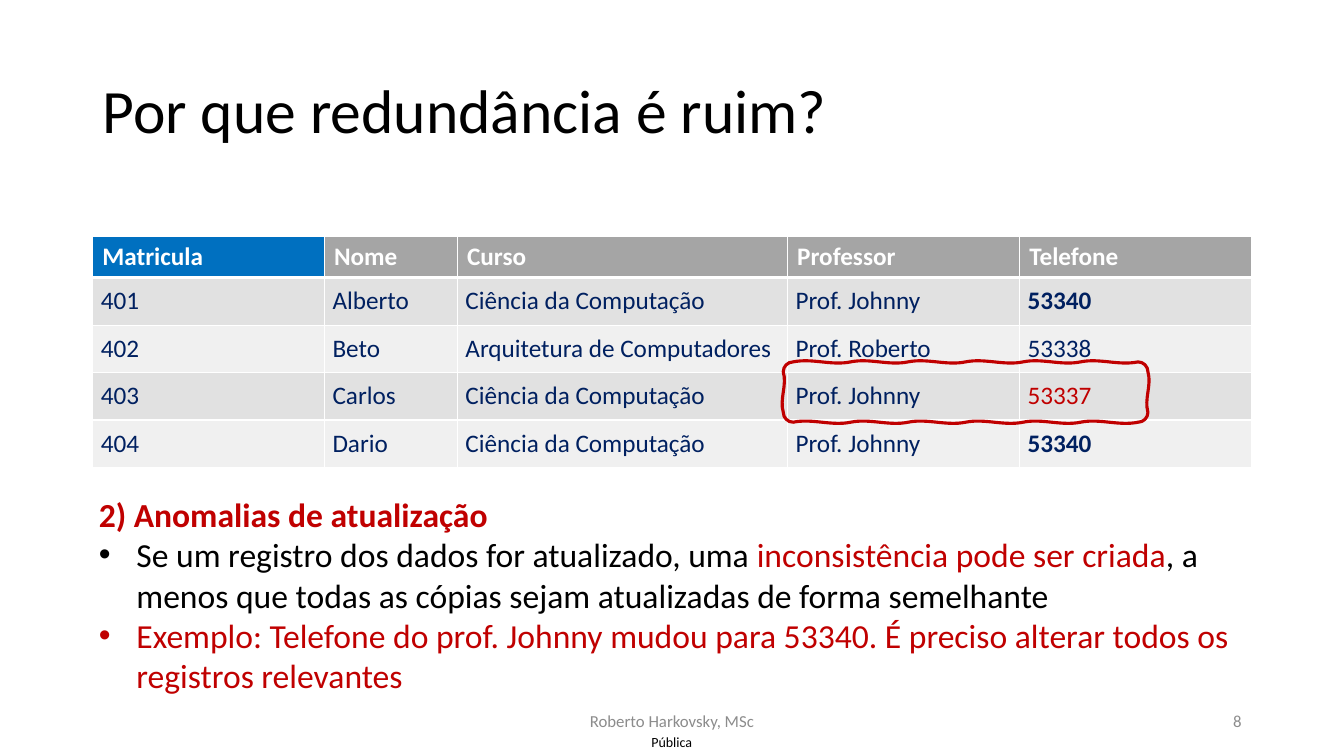
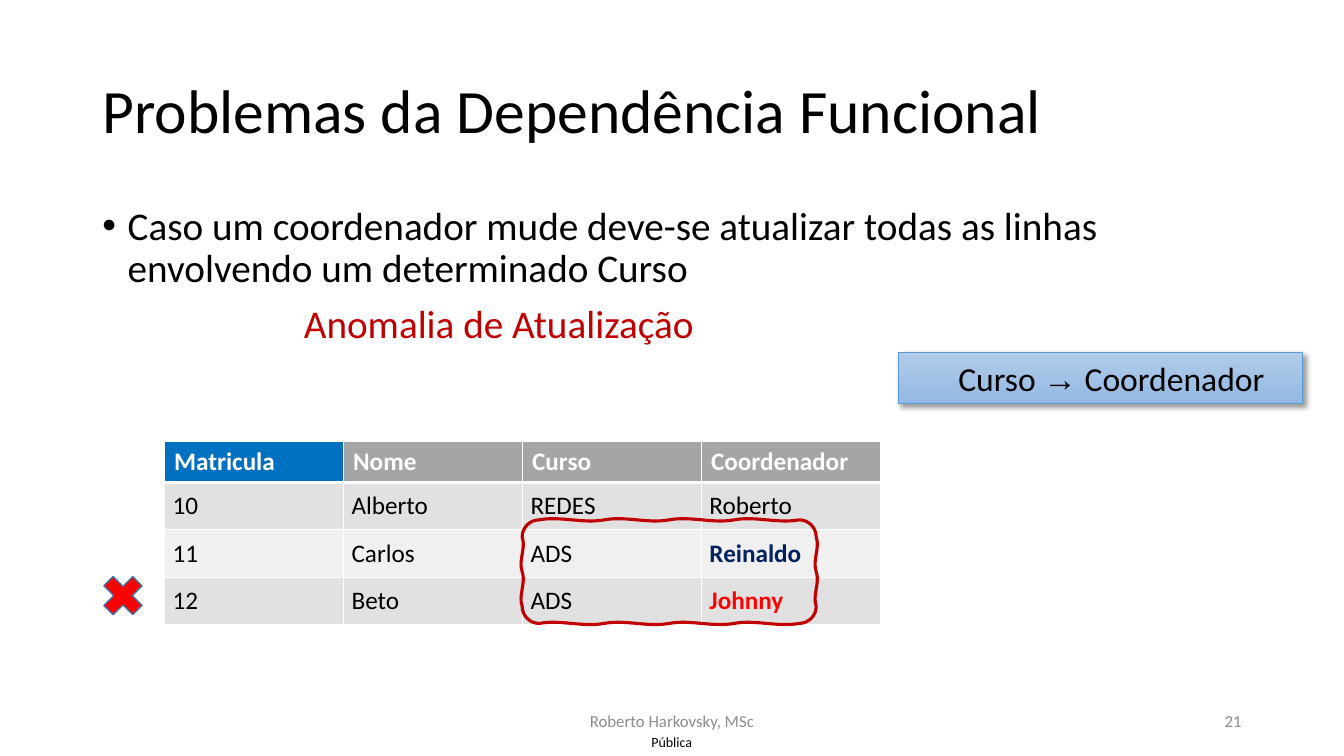
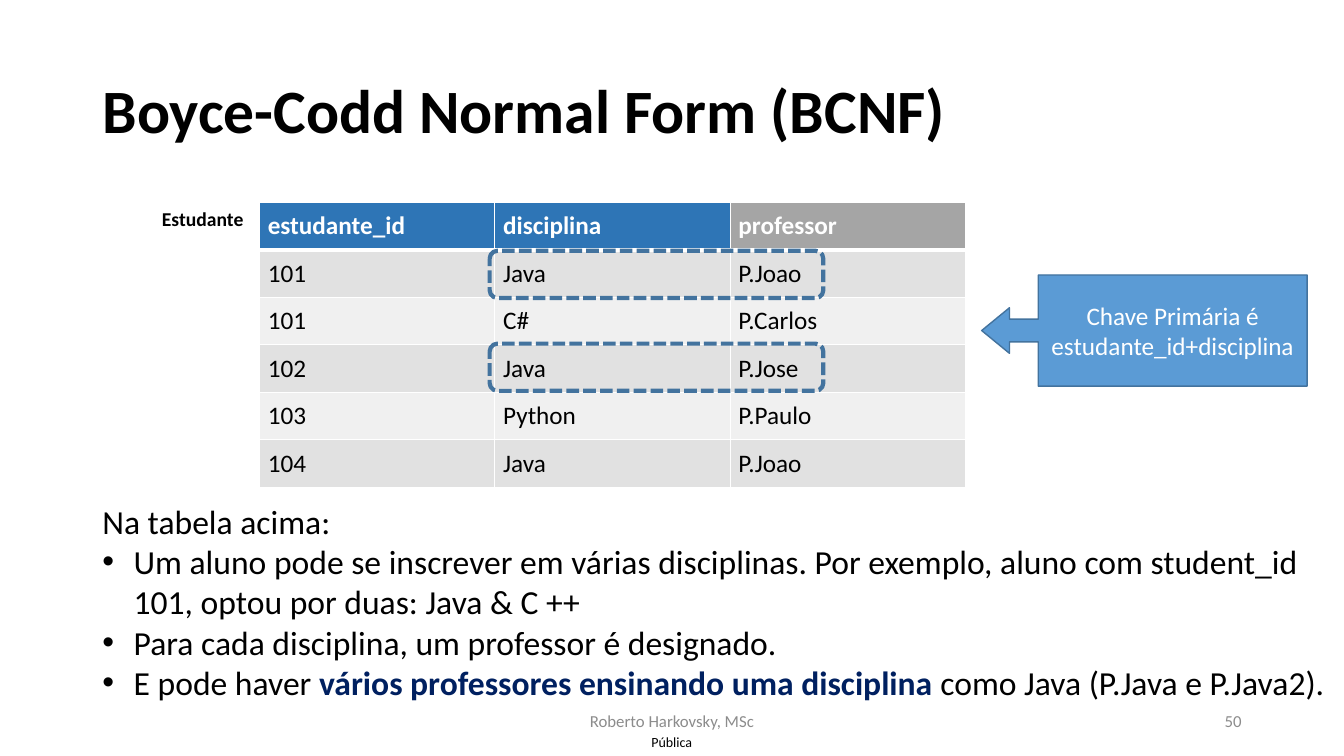
import math
from dataclasses import dataclass

import pptx
import pptx.dml.color
import pptx.enum.dml
import pptx.enum.shapes
import pptx.enum.text
import pptx.oxml
import pptx.oxml.ns
import pptx.util

Cm = pptx.util.Cm
Pt = pptx.util.Pt
RGBColor = pptx.dml.color.RGBColor
SHAPE = pptx.enum.shapes.MSO_SHAPE
ALIGN = pptx.enum.text.PP_ALIGN
ANCHOR = pptx.enum.text.MSO_ANCHOR

BLACK = RGBColor(0x00, 0x00, 0x00)
WHITE = RGBColor(0xFF, 0xFF, 0xFF)
FOOTER_GREY = RGBColor(0x8C, 0x8C, 0x8C)
HEADER_GREY = RGBColor(0xA5, 0xA5, 0xA5)
ROW_DARK = RGBColor(0xE1, 0xE1, 0xE1)
ROW_LIGHT = RGBColor(0xF0, 0xF0, 0xF0)
KEY_BLUE = RGBColor(0x00, 0x70, 0xC0)
KEY_STEEL = RGBColor(0x2E, 0x75, 0xB6)
NAVY = RGBColor(0x00, 0x20, 0x60)
DARK_RED = RGBColor(0xC0, 0x00, 0x00)
RED = RGBColor(0xFF, 0x00, 0x00)
ACCENT = RGBColor(0x5B, 0x9B, 0xD5)
ACCENT_LINE = RGBColor(0x43, 0x73, 0x9E)
GRADIENT_TOP = RGBColor(0xB1, 0xCB, 0xE9)
GRADIENT_BOTTOM = RGBColor(0x93, 0xB9, 0xE4)

FONT = "Calibri"
NS = pptx.oxml.ns.nsdecls("a")
CELL_INSET = 0.21
HEADER_HEIGHT = 1.03
ROW_HEIGHT = 1.19
WOBBLE = 0.1
ARC_HANDLE = 0.55


@dataclass
class Run:
    text: str
    color: RGBColor = BLACK
    bold: bool = False
    font: str = FONT


@dataclass
class Para:
    """Lengths are in cm; a bulleted paragraph hangs by its indent."""
    runs: list
    indent: float = 0
    bullet: bool = False
    before: float = 0
    spacing: float = 1.0
    align: int = ALIGN.LEFT


class Deck:
    def __init__(self):
        self.prs = pptx.Presentation()
        self.prs.slide_width = Cm(33.87)
        self.prs.slide_height = Cm(19.05)
        self.slide = None

    def new_slide(self, title, number, bold=False):
        self.slide = self.prs.slides.add_slide(self.prs.slide_layouts[5])
        heading = self.slide.shapes.title
        heading.left, heading.top = Cm(2.33), Cm(1.01)
        heading.width, heading.height = Cm(29.21), Cm(3.68)
        self.fill_text(heading.text_frame,
                       [Para([Run(title, bold=bold)], spacing=0.9)], 44, ANCHOR.MIDDLE)
        self.footer("Roberto Harkovsky, MSc", 11.22, 17.66, 11.43, ALIGN.CENTER)
        self.footer(number, 23.92, 17.66, 7.62, ALIGN.RIGHT)
        self.footer("Pública", 16.04, 18.19, 1.78, ALIGN.CENTER, 10, BLACK)

    def footer(self, text, left, top, width, align, size=12, color=FOOTER_GREY):
        self.text([Para([Run(text, color)], align=align)],
                  left, top, width, 1.01, size, ANCHOR.MIDDLE)

    def fill_text(self, frame, paras, size, anchor=ANCHOR.TOP):
        frame.word_wrap = True
        frame.auto_size = pptx.enum.text.MSO_AUTO_SIZE.NONE
        frame.vertical_anchor = anchor
        for index, para in enumerate(paras):
            paragraph = frame.add_paragraph() if index else frame.paragraphs[0]
            paragraph.alignment = para.align
            paragraph.line_spacing = para.spacing
            paragraph.space_before = Pt(para.before)
            self.indent(paragraph, para)
            for part in para.runs:
                run = paragraph.add_run()
                run.text = part.text
                self.font(run, size, part.color, part.bold, part.font)

    def indent(self, paragraph, para):
        properties = paragraph._p.get_or_add_pPr()
        properties.set("marL", str(Cm(para.indent)))
        properties.set("indent", str(Cm(-para.indent if para.bullet else 0)))
        if para.bullet:
            for xml in (f'<a:buFont {NS} typeface="Arial"/>', f'<a:buChar {NS} char="•"/>'):
                properties.append(pptx.oxml.parse_xml(xml))

    def font(self, run, size, color, bold=False, name=FONT):
        run.font.name = name
        run.font.size = Pt(size)
        run.font.bold = bold
        run.font.color.rgb = color

    def text(self, paras, left, top, width, height, size, anchor=ANCHOR.TOP):
        box = self.slide.shapes.add_textbox(Cm(left), Cm(top), Cm(width), Cm(height))
        self.fill_text(box.text_frame, paras, size, anchor)

    def table(self, rows, left, top, widths, key_columns=1, key_color=KEY_BLUE,
              ink=BLACK, accents=None, header_inset=(0.25, 0.13),
              header_height=HEADER_HEIGHT):
        """accents maps (row, column) to the (colour, bold) of that cell."""
        accents = accents or {}
        heights = [header_height] + [ROW_HEIGHT] * (len(rows) - 1)
        grid = self.slide.shapes.add_table(
            len(rows), len(widths), Cm(left), Cm(top),
            Cm(sum(widths)), Cm(sum(heights))).table
        for column, width in zip(grid.columns, widths):
            column.width = Cm(width)
        for r, (row, height) in enumerate(zip(rows, heights)):
            grid.rows[r].height = Cm(height)
            for c, value in enumerate(row):
                if r == 0:
                    color, bold = WHITE, True
                    fill = key_color if c < key_columns else HEADER_GREY
                    inset = header_inset
                else:
                    color, bold = accents.get((r, c), (ink, False))
                    fill = ROW_DARK if r % 2 else ROW_LIGHT
                    inset = (CELL_INSET, CELL_INSET)
                cell = grid.cell(r, c)
                cell.text_frame.text = value
                self.font(cell.text_frame.paragraphs[0].runs[0], 18, color, bold)
                cell.margin_left = cell.margin_right = Cm(inset[0])
                cell.margin_top = cell.margin_bottom = Cm(inset[1])
                self.cell_borders(cell, top=3 if r == 1 else 1, bottom=1 if r else 3)
                cell.fill.solid()
                cell.fill.fore_color.rgb = fill

    def cell_borders(self, cell, top, bottom):
        properties = cell._tc.get_or_add_tcPr()
        for side, points in (("L", 1), ("R", 1), ("T", top), ("B", bottom)):
            properties.append(pptx.oxml.parse_xml(
                f'<a:ln{side} {NS} w="{Pt(points)}"><a:solidFill>'
                f'<a:srgbClr val="{WHITE}"/></a:solidFill></a:ln{side}>'))

    def style(self, shape, fill, line, width):
        shape.shadow.inherit = False
        if fill is None:
            shape.fill.background()
        else:
            shape.fill.solid()
            shape.fill.fore_color.rgb = fill
        shape.line.color.rgb = line
        shape.line.width = Pt(width)

    def shape(self, kind, left, top, width, height, fill=None, line=ACCENT_LINE, line_width=1):
        shape = self.slide.shapes.add_shape(kind, Cm(left), Cm(top), Cm(width), Cm(height))
        self.style(shape, fill, line, line_width)
        return shape

    def dashed_frame(self, left, top, width, height):
        frame = self.shape(SHAPE.ROUNDED_RECTANGLE, left, top, width, height, line_width=3)
        frame.line.dash_style = pptx.enum.dml.MSO_LINE.SQUARE_DOT

    def gradient_label(self, paras, left, top, width, height):
        label = self.shape(SHAPE.RECTANGLE, left, top, width, height, ACCENT, ACCENT, 0.5)
        label.fill.gradient()
        label.fill.gradient_angle = 270
        for stop, color in zip(label.fill.gradient_stops, (GRADIENT_TOP, GRADIENT_BOTTOM)):
            stop.color.rgb = color
        effects = label._element.spPr.find(pptx.oxml.ns.qn("a:effectLst"))
        effects.append(pptx.oxml.parse_xml(
            f'<a:outerShdw {NS} blurRad="{Pt(4)}" dist="{Pt(3)}" dir="2700000" algn="tl" '
            'rotWithShape="0"><a:srgbClr val="000000"><a:alpha val="40000"/></a:srgbClr>'
            '</a:outerShdw>'))
        self.fill_text(label.text_frame, paras, 24)

    def sketched_frame(self, left, top, width, height, radius, waves):
        """Draw a rounded frame whose sides waver; waves counts them across and down."""
        right, bottom = left + width - radius, top + height - radius
        left, top = left + radius, top + radius
        centres = [(left, top), (right, top), (right, bottom), (left, bottom)]
        curves = []
        for k, (x, y) in enumerate(centres):
            end_x, end_y = centres[(k + 1) % 4]
            out_x, out_y = round(math.sin(math.pi / 2 * k)), -round(math.cos(math.pi / 2 * k))
            back_x, back_y = out_y, -out_x

            def on_side(t, wobble=0):
                reach = radius + wobble
                return x + (end_x - x) * t + reach * out_x, y + (end_y - y) * t + reach * out_y

            def on_corner(back, out):
                return (x + radius * (back * back_x + out * out_x),
                        y + radius * (back * back_y + out * out_y))

            curves.append([on_corner(1, ARC_HANDLE), on_corner(ARC_HANDLE, 1), on_corner(0, 1)])
            count = waves[k % 2]
            for wave in range(count):
                curves.append([on_side((wave + 1 / 3) / count, WOBBLE),
                               on_side((wave + 2 / 3) / count, -WOBBLE),
                               on_side((wave + 1) / count)])
        curves = [[(Cm(px), Cm(py)) for px, py in curve] for curve in curves]
        builder = self.slide.shapes.build_freeform(*curves[-1][-1])
        builder.add_line_segments([curve[-1] for curve in curves], close=True)
        frame = builder.convert_to_shape()
        self.bend(frame, curves)
        self.style(frame, None, DARK_RED, 2.25)

    def bend(self, frame, curves):
        """Turn each straight segment of a freeform into a cubic curve."""
        segments = list(frame._element.iter(pptx.oxml.ns.qn("a:lnTo")))
        for segment, curve in zip(segments, curves):
            points = "".join(f'<a:pt x="{px - frame.left}" y="{py - frame.top}"/>'
                             for px, py in curve)
            segment.getparent().replace(segment, pptx.oxml.parse_xml(
                f'<a:cubicBezTo {NS}>{points}</a:cubicBezTo>'))


def redundancy_slide(deck):
    deck.new_slide("Por que redundância é ruim?", "8")
    deck.table(
        [["Matricula", "Nome", "Curso", "Professor", "Telefone"],
         ["401", "Alberto", "Ciência da Computação", "Prof. Johnny", "53340"],
         ["402", "Beto", "Arquitetura de Computadores", "Prof. Roberto", "53338"],
         ["403", "Carlos", "Ciência da Computação", "Prof. Johnny", "53337"],
         ["404", "Dario", "Ciência da Computação", "Prof. Johnny", "53340"]],
        2.33, 5.96, [5.84, 3.35, 8.32, 5.85, 5.85], ink=NAVY,
        accents={(1, 4): (NAVY, True), (3, 4): (DARK_RED, False), (4, 4): (NAVY, True)})
    deck.text(
        [Para([Run("2) Anomalias de atualização", DARK_RED, True)]),
         Para([Run("Se um registro dos dados for atualizado, uma "),
               Run("inconsistência pode ser criada", DARK_RED),
               Run(", a menos que todas as cópias sejam atualizadas de forma semelhante")],
              0.95, True),
         Para([Run("Exemplo: Telefone do prof. Johnny mudou para 53340. "
                   "É preciso alterar todos os registros relevantes", DARK_RED)],
              0.95, True)],
        2.24, 12.32, 29.21, 6.4, 24)
    deck.sketched_frame(19.74, 9.12, 9.19, 1.52, 0.25, (6, 1))


def dependency_slide(deck):
    deck.new_slide("Problemas da Dependência Funcional", "21")
    deck.text(
        [Para([Run("Caso um coordenador mude deve-se atualizar todas as linhas "
                   "envolvendo um determinado Curso")], 0.64, True, spacing=0.9),
         Para([Run("Anomalia de Atualização", DARK_RED)], 5.08, before=10, spacing=0.9)],
        2.33, 5.07, 29.21, 12.09, 28)
    deck.table(
        [["Matricula", "Nome", "Curso", "Coordenador"],
         ["10", "Alberto", "REDES", "Roberto"],
         ["11", "Carlos", "ADS", "Reinaldo"],
         ["12", "Beto", "ADS", "Johnny"]],
        4.14, 11.12, [4.51] * 4,
        accents={(2, 3): (NAVY, True), (3, 3): (RED, True)})
    deck.shape(SHAPE.MATH_MULTIPLY, 2.4, 14.31, 1.4, 1.4, RED)
    deck.sketched_frame(13.16, 13.1, 7.41, 2.61, 0.43, (4, 2))
    deck.gradient_label(
        [Para([Run("Curso "), Run("→", font="Arial"), Run(" Coordenador")], 1.27)],
        22.63, 8.89, 10.2, 1.28)


def normal_form_slide(deck):
    deck.new_slide("Boyce-Codd Normal Form (BCNF)", "50", bold=True)
    deck.table(
        [["estudante_id", "disciplina", "professor"],
         ["101", "Java", "P.Joao"],
         ["101", "C#", "P.Carlos"],
         ["102", "Java", "P.Jose"],
         ["103", "Python", "P.Paulo"],
         ["104", "Java", "P.Joao"]],
        6.54, 5.1, [5.93] * 3, key_columns=2, key_color=KEY_STEEL,
        header_inset=(CELL_INSET, CELL_INSET), header_height=ROW_HEIGHT)
    deck.text(
        [Para([Run("Na tabela acima:")]),
         Para([Run("Um aluno pode se inscrever em várias disciplinas. Por exemplo, aluno "
                   "com student_id 101, optou por duas: Java & C ++")], 0.79, True),
         Para([Run("Para cada disciplina, um professor é designado.")], 0.79, True),
         Para([Run("E pode haver "),
               Run("vários professores ensinando uma disciplina ", NAVY, True),
               Run("como Java (P.Java e P.Java2).")], 0.79, True)],
        2.33, 12.49, 31.5, 6.4, 24)
    key_callout = deck.shape(SHAPE.LEFT_ARROW_CALLOUT, 24.74, 6.93, 8.2, 2.8, ACCENT)
    for index, value in enumerate((0.205, 0.205, 0.25, 0.826)):
        key_callout.adjustments[index] = value
    deck.fill_text(
        key_callout.text_frame,
        [Para([Run("Chave Primária é estudante_id+disciplina", WHITE)], align=ALIGN.CENTER)],
        18, ANCHOR.MIDDLE)
    for top in (6.32, 8.66):
        deck.dashed_frame(12.34, top, 8.41, 1.19)
    deck.text([Para([Run("Estudante", bold=True)])], 3.83, 5.09, 2.7, 0.86, 14)


def main():
    deck = Deck()
    redundancy_slide(deck)
    dependency_slide(deck)
    normal_form_slide(deck)
    deck.prs.save("out.pptx")


if __name__ == "__main__":
    main()
